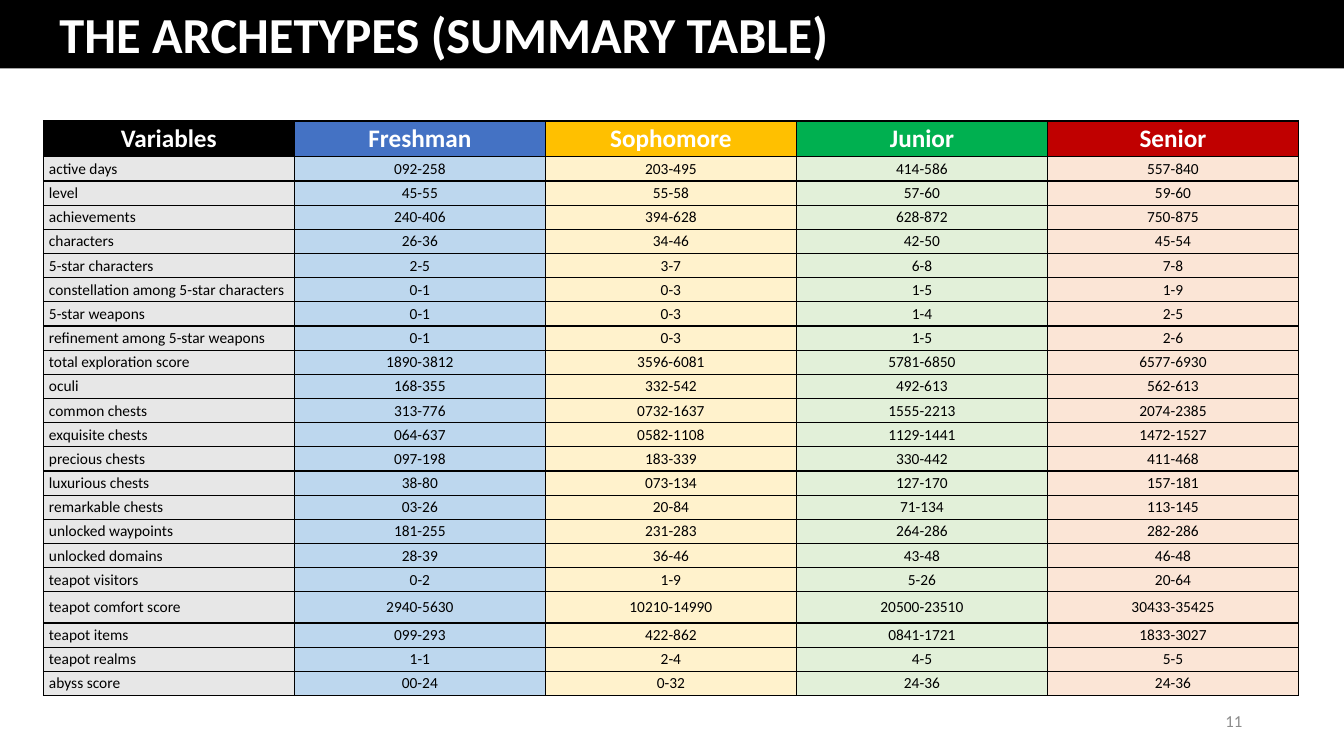
from pptx import Presentation
from pptx.dml.color import RGBColor
from pptx.enum.shapes import MSO_SHAPE as Shape
from pptx.enum.text import MSO_ANCHOR as Anchor, PP_ALIGN as Align
from pptx.oxml import parse_xml
from pptx.oxml.ns import nsdecls
from pptx.util import Pt

EMU_PER_PX = 9144  # 100 px to the inch

BLACK = RGBColor(0x00, 0x00, 0x00)
WHITE = RGBColor(0xFF, 0xFF, 0xFF)
GREY = RGBColor(0x8C, 0x8C, 0x8C)

# Heading, heading fill, body fill
COLUMNS = [
    ("Variables", BLACK, RGBColor(0xE7, 0xE7, 0xE7)),
    ("Freshman", RGBColor(0x44, 0x72, 0xC4), RGBColor(0xBD, 0xD7, 0xEE)),
    ("Sophomore", RGBColor(0xFF, 0xC0, 0x00), RGBColor(0xFF, 0xF2, 0xCC)),
    ("Junior", RGBColor(0x00, 0xB0, 0x50), RGBColor(0xE2, 0xF0, 0xD9)),
    ("Senior", RGBColor(0xC0, 0x00, 0x00), RGBColor(0xFB, 0xE5, 0xD6)),
]
TALL_VARIABLE = "teapot comfort score"
RANGES = [
    ("active days", "092-258", "203-495", "414-586", "557-840"),
    ("level", "45-55", "55-58", "57-60", "59-60"),
    ("achievements", "240-406", "394-628", "628-872", "750-875"),
    ("characters", "26-36", "34-46", "42-50", "45-54"),
    ("5-star characters", "2-5", "3-7", "6-8", "7-8"),
    ("constellation among 5-star characters", "0-1", "0-3", "1-5", "1-9"),
    ("5-star weapons", "0-1", "0-3", "1-4", "2-5"),
    ("refinement among 5-star weapons", "0-1", "0-3", "1-5", "2-6"),
    ("total exploration score", "1890-3812", "3596-6081", "5781-6850", "6577-6930"),
    ("oculi", "168-355", "332-542", "492-613", "562-613"),
    ("common chests", "313-776", "0732-1637", "1555-2213", "2074-2385"),
    ("exquisite chests", "064-637", "0582-1108", "1129-1441", "1472-1527"),
    ("precious chests", "097-198", "183-339", "330-442", "411-468"),
    ("luxurious chests", "38-80", "073-134", "127-170", "157-181"),
    ("remarkable chests", "03-26", "20-84", "71-134", "113-145"),
    ("unlocked waypoints", "181-255", "231-283", "264-286", "282-286"),
    ("unlocked domains", "28-39", "36-46", "43-48", "46-48"),
    ("teapot visitors", "0-2", "1-9", "5-26", "20-64"),
    (TALL_VARIABLE, "2940-5630", "10210-14990", "20500-23510", "30433-35425"),
    ("teapot items", "099-293", "422-862", "0841-1721", "1833-3027"),
    ("teapot realms", "1-1", "2-4", "4-5", "5-5"),
    ("abyss score", "00-24", "0-32", "24-36", "24-36"),
]


def px(*lengths):
    return [length * EMU_PER_PX for length in lengths]


class SlideBuilder:
    def __init__(self, slide, font_name):
        self.slide = slide
        self.font_name = font_name

    def set_text(self, frame, text, size, color, bold=False, align=Align.LEFT):
        paragraph = frame.paragraphs[0]
        paragraph.text = text
        paragraph.alignment = align
        font = paragraph.font
        font.name, font.size, font.bold = self.font_name, Pt(size), bold
        font.color.rgb = color

    def title_bar(self, box, text, indent):
        bar = self.slide.shapes.add_shape(Shape.RECTANGLE, *px(*box))
        bar.shadow.inherit = False
        bar.fill.solid()
        bar.fill.fore_color.rgb = BLACK
        bar.line.fill.background()
        frame = bar.text_frame
        frame.vertical_anchor = Anchor.MIDDLE
        frame.margin_left, = px(indent)
        self.set_text(frame, text, 36, WHITE, bold=True)

    def page_number(self, box, text):
        frame = self.slide.shapes.add_textbox(*px(*box)).text_frame
        frame.word_wrap = True
        frame.vertical_anchor = Anchor.MIDDLE
        self.set_text(frame, text, 12, GREY, align=Align.RIGHT)

    def cell(self, cell, text, fill, **style):
        cell.margin_left = cell.margin_right = Pt(4)
        cell.margin_top = cell.margin_bottom = Pt(2)
        cell.vertical_anchor = Anchor.MIDDLE
        properties = cell._tc.get_or_add_tcPr()
        for side in ("lnL", "lnR", "lnT", "lnB"):
            properties.append(parse_xml(
                f'<a:{side} {nsdecls("a")} w="{Pt(1)}"><a:solidFill>'
                f'<a:srgbClr val="{BLACK}"/></a:solidFill></a:{side}>'))
        cell.fill.solid()
        cell.fill.fore_color.rgb = fill
        self.set_text(cell.text_frame, text, **style)

    def range_table(self, left, top, column_width):
        heights = [35] + [31 if row[0] == TALL_VARIABLE else 24 for row in RANGES]
        box = px(left, top, column_width * len(COLUMNS), sum(heights))
        table = self.slide.shapes.add_table(len(heights), len(COLUMNS), *box).table
        for row, height in zip(table.rows, heights):
            row.height, = px(height)
        for index, (heading, heading_fill, body_fill) in enumerate(COLUMNS):
            table.columns[index].width, = px(column_width)
            self.cell(table.cell(0, index), heading, heading_fill,
                      size=18, color=WHITE, bold=True, align=Align.CENTER)
            align = Align.CENTER if index else Align.LEFT
            for number, values in enumerate(RANGES, start=1):
                self.cell(table.cell(number, index), values[index], body_fill,
                          size=11, color=BLACK, align=align)


def main():
    presentation = Presentation()
    presentation.slide_width, presentation.slide_height = px(1333, 750)
    slide = presentation.slides.add_slide(presentation.slide_layouts[6])
    builder = SlideBuilder(slide, "Calibri")
    builder.title_bar((-1, -2, 1334, 70), "THE ARCHETYPES (SUMMARY TABLE)", indent=60)
    builder.page_number((942, 695, 300, 40), "11")
    builder.range_table(left=43, top=120, column_width=249)
    presentation.save("out.pptx")


if __name__ == "__main__":
    main()
